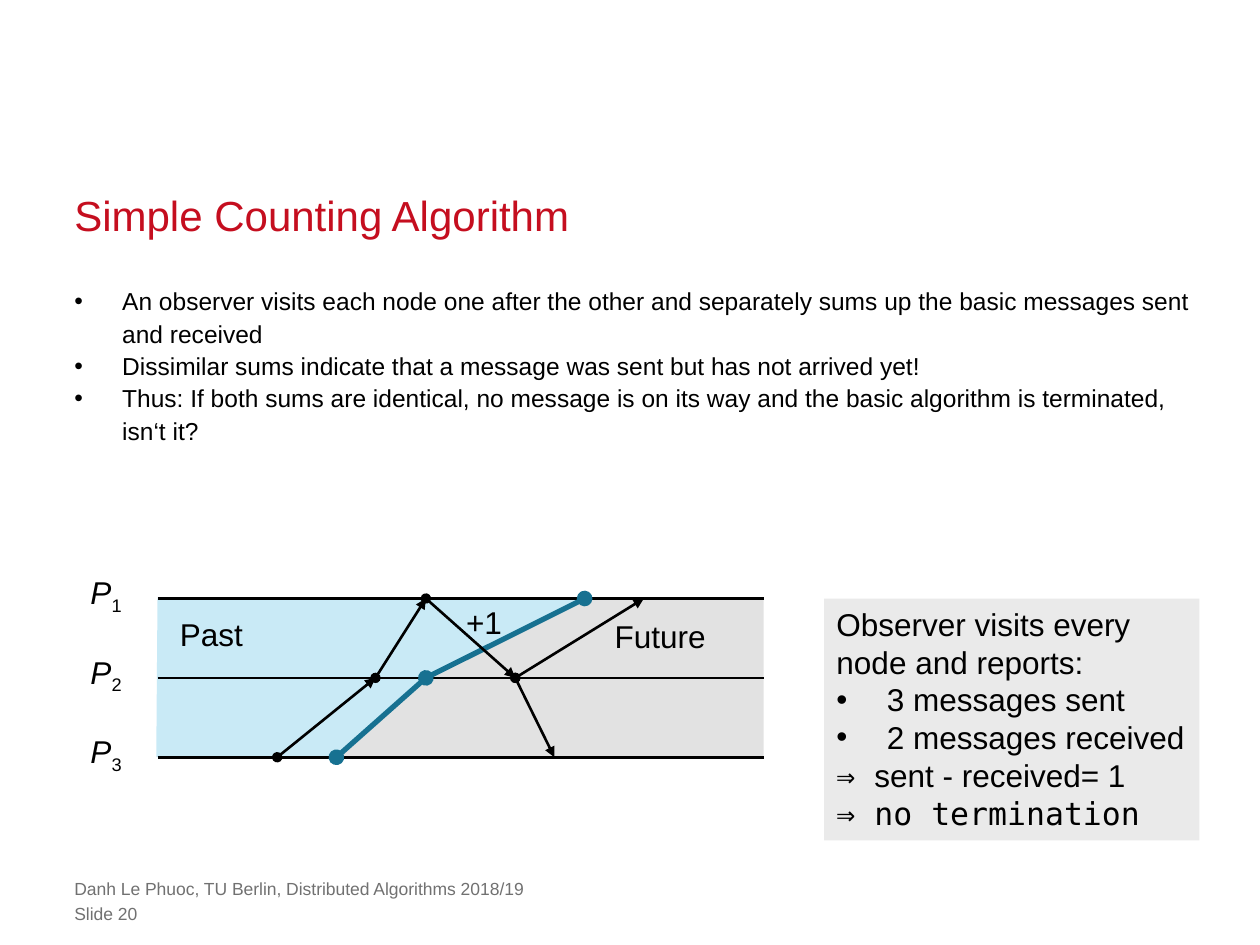
import pptx
import pptx.util
import pptx.dml.color
import pptx.enum.shapes
import pptx.enum.text
import pptx.oxml
import pptx.oxml.ns

SCALE = 9144  # EMU per px, 100 px to the inch
BLACK, RED, GREY, TEAL = "000000", "C50E1F", "717171", "177191"
MONO = "DejaVu Sans Mono"


def px(n):
    return pptx.util.Emu(n * SCALE)


def color(code):
    return pptx.dml.color.RGBColor.from_string(code)


def add_xml(parent, tag, **attrs):
    node = pptx.oxml.parse_xml(f"<a:{tag} {pptx.oxml.ns.nsdecls('a')}/>")
    for key, value in attrs.items():
        node.set(key, str(value))
    parent.append(node)


class Deck:
    font = "Arial"

    def __init__(self, width, height):
        self.prs = pptx.Presentation()
        self.prs.slide_width, self.prs.slide_height = px(width), px(height)
        self.slide = self.prs.slides.add_slide(self.prs.slide_layouts[6])
        self.shapes = self.slide.shapes

    def frame(self, shape, pad=(10, 5), wrap=False, anchor="TOP"):
        """Set up the text frame of a shape and return it."""
        frame = shape.text_frame
        frame.word_wrap = wrap
        frame.margin_left = frame.margin_right = px(pad[0])
        frame.margin_top = frame.margin_bottom = px(pad[1])
        frame.vertical_anchor = getattr(pptx.enum.text.MSO_ANCHOR, anchor)
        return frame

    def para(self, frame, runs, size, tint=BLACK, space=None, hang=0):
        """Fill the first paragraph if empty, else add one.

        Each run is a text with a dict of italic, base or font;
        hang is the width of a bullet's hanging indent.
        """
        para = frame.paragraphs[0]
        if para.runs:
            para = frame.add_paragraph()
        para.alignment = pptx.enum.text.PP_ALIGN.LEFT
        if space:
            para.line_spacing = space
        if hang:
            props = para._p.get_or_add_pPr()
            props.set("marL", str(px(hang)))
            props.set("indent", str(-px(hang)))
            add_xml(props, "buFont", typeface=self.font)
            add_xml(props, "buChar", char="•")
        for text, look in runs:
            for i, line in enumerate(text.split("\n")):
                if i:
                    para.add_line_break()
                run = para.add_run()
                run.text = line
                run.font.name = look.get("font", self.font)
                run.font.size = pptx.util.Pt(size)
                run.font.italic = look.get("italic", False)
                run.font.color.rgb = color(tint)
                if "base" in look:
                    run._r.get_or_add_rPr().set("baseline", str(look["base"]))

    def box(self, x, y, w, h, **setup):
        shape = self.shapes.add_textbox(px(x), px(y), px(w), px(h))
        return self.frame(shape, **setup)

    def label(self, x, y, w, text):
        self.para(self.box(x, y, w, 40), [(text, {})], 18)

    def panel(self, x, y, w, h, fill):
        kind = pptx.enum.shapes.MSO_SHAPE.RECTANGLE
        shape = self.shapes.add_shape(kind, px(x), px(y), px(w), px(h))
        self.paint(shape, fill)
        return self.frame(shape)

    def paint(self, shape, fill, alpha=100):
        shape.shadow.inherit = False
        shape.line.fill.background()
        shape.fill.solid()
        shape.fill.fore_color.rgb = color(fill)
        if alpha < 100:
            tag = pptx.oxml.ns.qn("a:srgbClr")
            add_xml(next(shape._element.spPr.iter(tag)), "alpha", val=alpha * 1000)

    def area(self, points, fill, alpha):
        form = self.shapes.build_freeform(*points[0], scale=SCALE)
        form.add_line_segments(points[1:], close=True)
        self.paint(form.convert_to_shape(), fill, alpha)

    def line(self, start, end, tint=BLACK, width=1.5, head=None, tail=None):
        kind = pptx.enum.shapes.MSO_CONNECTOR.STRAIGHT
        line = self.shapes.add_connector(kind, *map(px, start + end))
        line.line.width = pptx.util.Pt(width)
        line.line.fill.solid()
        line.line.fill.fore_color.rgb = color(tint)
        for tag, shape in (("headEnd", head), ("tailEnd", tail)):
            if shape:
                add_xml(line.line._get_or_add_ln(), tag, type=shape)
        add_xml(line._element.spPr, "effectLst")

    def arrow(self, start, end):
        self.line(start, end, head="oval", tail="triangle")


def main():
    deck = Deck(1000, 750)

    title = deck.box(59, 148, 882, 42, pad=(0, 0), wrap=True, anchor="BOTTOM")
    deck.para(title, [("Simple Counting Algorithm", {})], 24, RED,
              space=pptx.util.Pt(30))

    body = deck.box(59, 225, 900, 221, pad=(0, 0), wrap=True)
    for text in (
        "An observer visits each node one after the other and separately "
        "sums up the basic messages sent and received",
        "Dissimilar sums indicate that a message was sent but has not "
        "arrived yet!",
        "Thus: If both sums are identical, no message is on its way and the "
        "basic algorithm is terminated, isn‘t it?",
    ):
        deck.para(body, [(text, {})], 14, space=1.1, hang=38)

    footer = ("Danh Le Phuoc, TU Berlin, Distributed Algorithms 2018/19",
              "Slide 20")
    for i, text in enumerate(footer):
        foot = deck.box(59, 697 + 20 * i, 724, 17, pad=(0, 0), wrap=True)
        deck.para(foot, [(text, {})], 10, GREY)

    # Time lines of the three processes, cut into past and future
    left, right = 125, 606
    rows = top, mid, low = 475, 538, 601
    cut = [(463, top), (336, mid), (267, low)]
    deck.area([(right, low), (right, top)] + cut, "C6C6C6", 50)
    deck.label(478, 485, 93, "Future")
    deck.area([(left - 1, low), (left, top)] + cut, "4EBCE3", 30)
    for y in rows:
        deck.line((left, y), (right, y))
    for i, y in enumerate(rows, 1):
        name = [("P", {"italic": True}), (str(i), {"base": -25000})]
        deck.para(deck.box(62, y - 25, 46, 40), name, 18)

    deck.line((267, low), (338, mid), TEAL, 3, head="oval", tail="oval")
    deck.line((464, top), (338, mid), TEAL, 3, head="oval")
    for start, end in (
        ((338, top), (409, mid)),
        ((220, low), (298, mid)),
        ((409, mid), (440, low)),
        ((298, mid), (338, top)),
        ((409, mid), (511, top)),
    ):
        deck.arrow(start, end)
    deck.label(133, 483, 71, "Past")
    deck.label(360, 474, 49, "+1")

    report = deck.panel(654, 475, 298, 192, "EAEAEA")
    mono = {"font": MONO}
    for runs, hang in (
        ([("Observer visits every \nnode and reports:", {})], 0),
        ([("3 messages sent", {})], 40),
        ([("2 messages received", {})], 40),
        ([("⇒ ", mono), ("sent - received= 1", {})], 0),
        ([("⇒ no termination", mono)], 0),
    ):
        deck.para(report, runs, 18, hang=hang)

    deck.prs.save("out.pptx")


if __name__ == "__main__":
    main()
